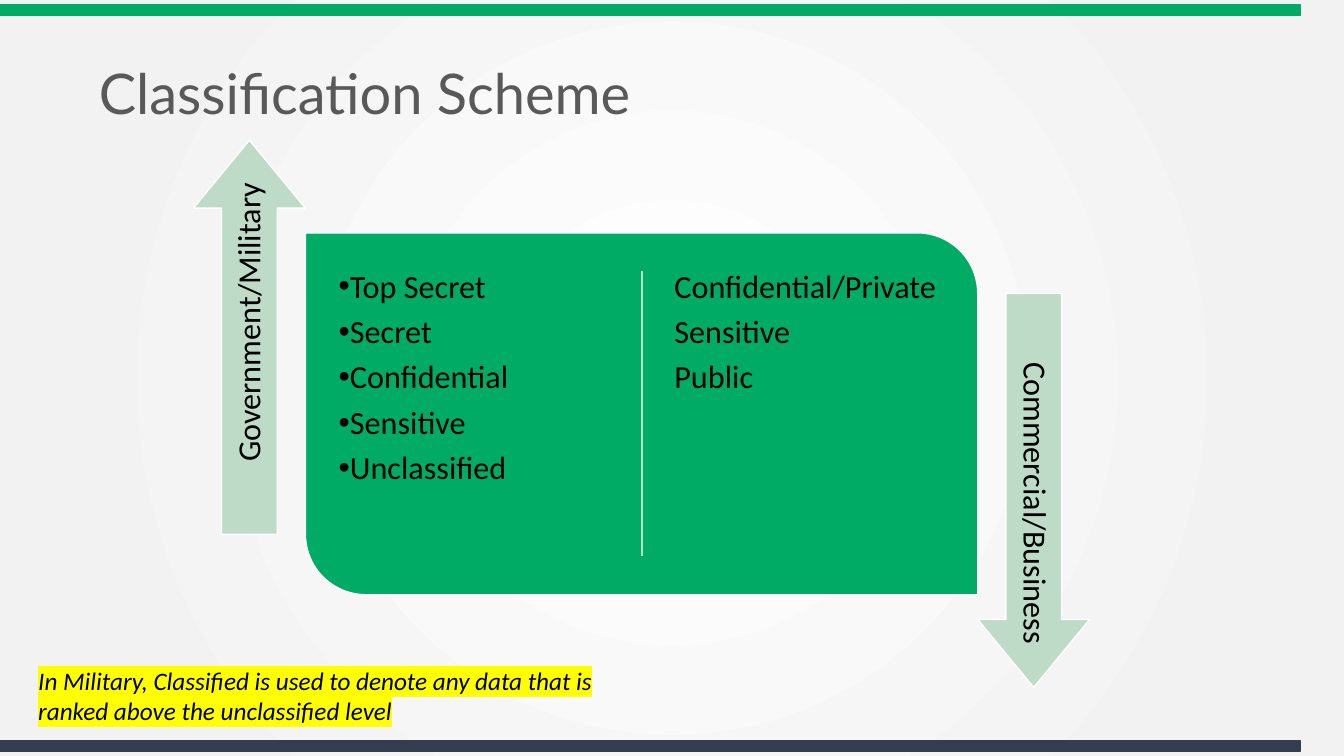
"""Build the Classification Scheme slide comparing military and commercial levels."""
from lxml.etree import SubElement
from pptx import Presentation
from pptx.dml.color import RGBColor
from pptx.enum.shapes import MSO_CONNECTOR, MSO_SHAPE
from pptx.enum.text import MSO_ANCHOR, MSO_AUTO_SIZE, PP_ALIGN
from pptx.oxml import parse_xml
from pptx.oxml.ns import nsdecls, qn
from pptx.util import Pt

GREEN, PALE_GREEN, NAVY, WHITE = "00AC65", "BDDBC6", "333F50", "FFFFFF"
LABEL_FONT = {"name": "Calibri", "size": Pt(23)}
LABEL_PARAGRAPH = {"line_spacing": 0.9, "space_before": Pt(0), "space_after": Pt(7.6)}


def add_filled_shape(preset, box, fill, line, adjustments=()):
    shape = slide.shapes.add_shape(preset, *[Pt(length) for length in box])
    shape.shadow.inherit = False
    shape.fill.solid()
    shape.fill.fore_color.rgb = RGBColor.from_string(fill)
    shape.line.color.rgb = RGBColor.from_string(line)
    shape.line.width = Pt(1)
    for index, value in enumerate(adjustments):
        shape.adjustments[index] = value
    return shape


def write_lines(shape, box, lines, font, color="000000", paragraph_format={}, frame_format={}):
    for name, length in zip(("left", "top", "width", "height"), box):
        setattr(shape, name, Pt(length))
    frame = shape.text_frame
    frame.text = "\n".join(lines)
    for name, value in {"word_wrap": True, "auto_size": MSO_AUTO_SIZE.NONE, **frame_format}.items():
        setattr(frame, name, value)
    for paragraph in frame.paragraphs:
        for name, value in paragraph_format.items():
            setattr(paragraph, name, value)
        run_font = paragraph.runs[0].font
        run_font.color.rgb = RGBColor.from_string(color)
        for name, value in font.items():
            setattr(run_font, name, value)


presentation = Presentation()
presentation.slide_width, presentation.slide_height = Pt(960), Pt(540)
slide = presentation.slides.add_slide(presentation.slide_layouts[3])

slide.background.fill.gradient()
gradient = slide.background.fill._xPr.find(qn("a:gradFill"))
stops = "".join(
    f'<a:gs pos="{position}"><a:srgbClr val="{color}"/></a:gs>'
    for position, color in ((0, WHITE), (81000, "F2F2F2"), (100000, "F2F2F2"))
)
gradient.getparent().replace(gradient, parse_xml(
    f'<a:gradFill {nsdecls("a")} rotWithShape="1"><a:gsLst>{stops}</a:gsLst><a:path path="circle">'
    '<a:fillToRect l="50000" t="50000" r="50000" b="50000"/></a:path></a:gradFill>'
))

for top, color in ((3.6, GREEN), (529.2, NAVY)):
    add_filled_shape(MSO_SHAPE.RECTANGLE, (0, top, 928.8, 7.2), color, color)

write_lines(
    slide.shapes.title, (63.4, 40.3, 842.4, 57.6), ["Classification Scheme"],
    {"name": "Lato", "size": Pt(40)}, "595959",
    {"alignment": PP_ALIGN.LEFT, "line_spacing": 0.9}, {"vertical_anchor": MSO_ANCHOR.MIDDLE},
)

add_filled_shape(
    MSO_SHAPE.ROUND_2_DIAG_RECTANGLE, (218.2, 166.3, 480.2, 258.5), GREEN, WHITE, (0, 0.167)
)
divider = slide.shapes.add_connector(
    MSO_CONNECTOR.STRAIGHT, Pt(458.6), Pt(193.7), Pt(458.6), Pt(397.4)
)
divider.line.color.rgb = RGBColor.from_string(PALE_GREEN)
divider.line.width = Pt(1)
SubElement(divider.element.spPr, qn("a:effectLst"))

military_levels = ["Top Secret", "Secret", "Confidential", "Sensitive", "Unclassified"]
commercial_levels = ["Confidential/Private", "Sensitive", "Public"]
level_lists = ((1, 234.7, military_levels, "•"), (2, 474.5, commercial_levels, None))
for placeholder_index, left, levels, bullet in level_lists:
    level_list = slide.placeholders[placeholder_index]
    write_lines(
        level_list, (left, 185.8, 208.1, 218.9), levels, LABEL_FONT,
        paragraph_format=LABEL_PARAGRAPH,
        frame_format={"vertical_anchor": MSO_ANCHOR.TOP, "margin_top": Pt(7.2)},
    )
    for paragraph in level_list.text_frame.paragraphs:
        properties = paragraph._p.get_or_add_pPr()
        properties.set("marL", "0")
        properties.set("indent", "0")
        if bullet:
            SubElement(properties, qn("a:buChar"), char=bullet)
        else:
            SubElement(properties, qn("a:buNone"))
    level_list.element.getparent().append(level_list.element)

sectors = (
    ("Government/Military", 270, (37.4, 200.9), (49.7, 232.6)),
    ("Commercial/Business", 90, (597.6, 310.3), (609.8, 318.2)),
)
for sector, rotation, arrow_corner, label_corner in sectors:
    arrow = add_filled_shape(
        MSO_SHAPE.RIGHT_ARROW, (*arrow_corner, 281.5, 79.9), PALE_GREEN, WHITE, (0.498, 0.607)
    )
    label = slide.shapes.add_textbox(0, 0, 0, 0)
    write_lines(
        label, (*label_corner, 257.8, 39.6), [sector], LABEL_FONT,
        paragraph_format={**LABEL_PARAGRAPH, "alignment": PP_ALIGN.RIGHT},
        frame_format={"vertical_anchor": MSO_ANCHOR.MIDDLE},
    )
    arrow.rotation = label.rotation = rotation

note = slide.shapes.add_textbox(0, 0, 0, 0)
write_lines(
    note, (20.2, 471.6, 426.2, 51.1),
    ["In Military, Classified is used to denote any data that is ranked above the unclassified level"],
    {"name": "Calibri", "size": Pt(18), "italic": True},
    frame_format={"auto_size": MSO_AUTO_SIZE.SHAPE_TO_FIT_TEXT},
)
note_fill = note.text_frame.paragraphs[0].runs[0]._r.rPr.find(qn("a:solidFill"))
note_fill.addnext(parse_xml(
    f'<a:highlight {nsdecls("a")}><a:srgbClr val="FFFF00"/></a:highlight>'
))

presentation.save("out.pptx")
